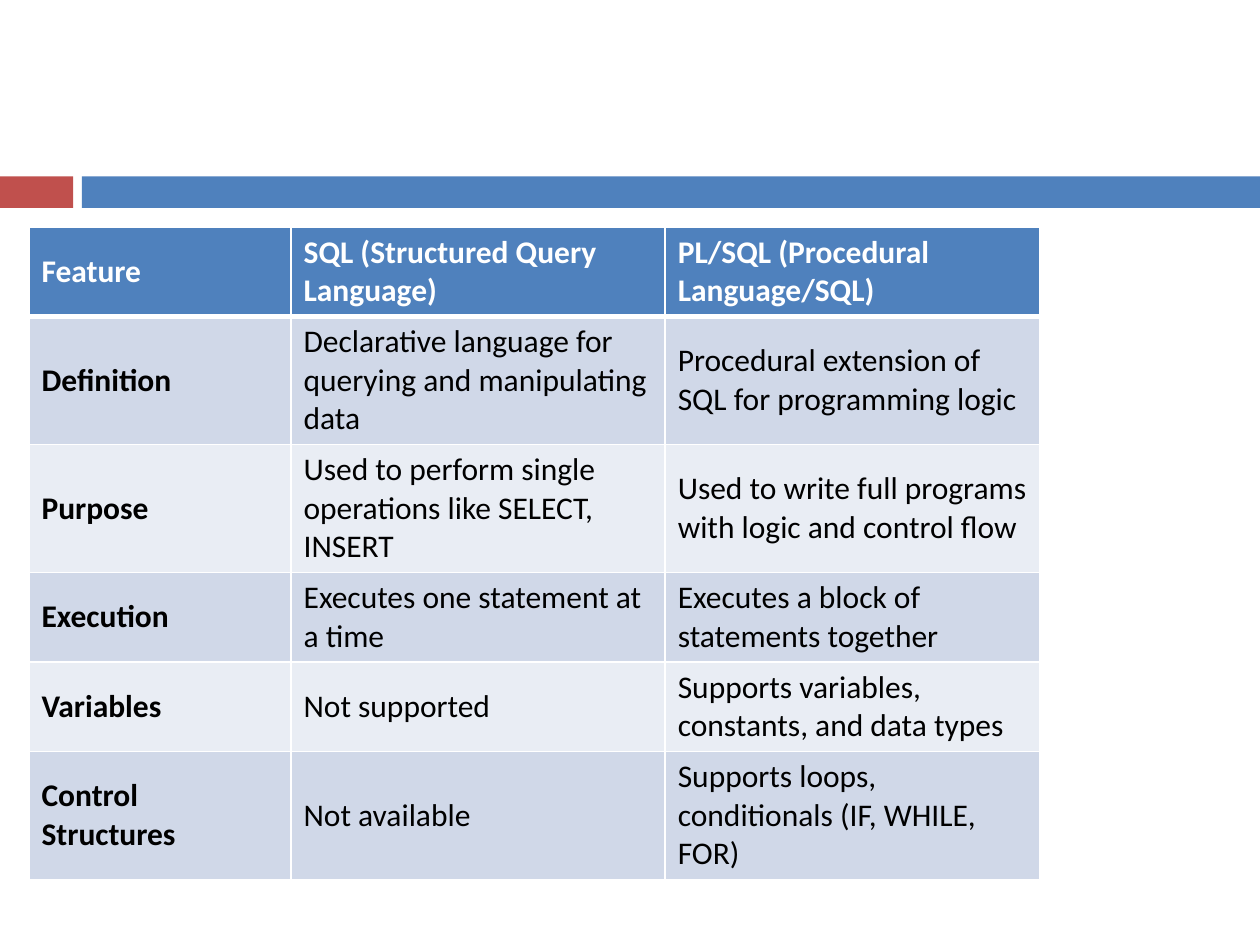
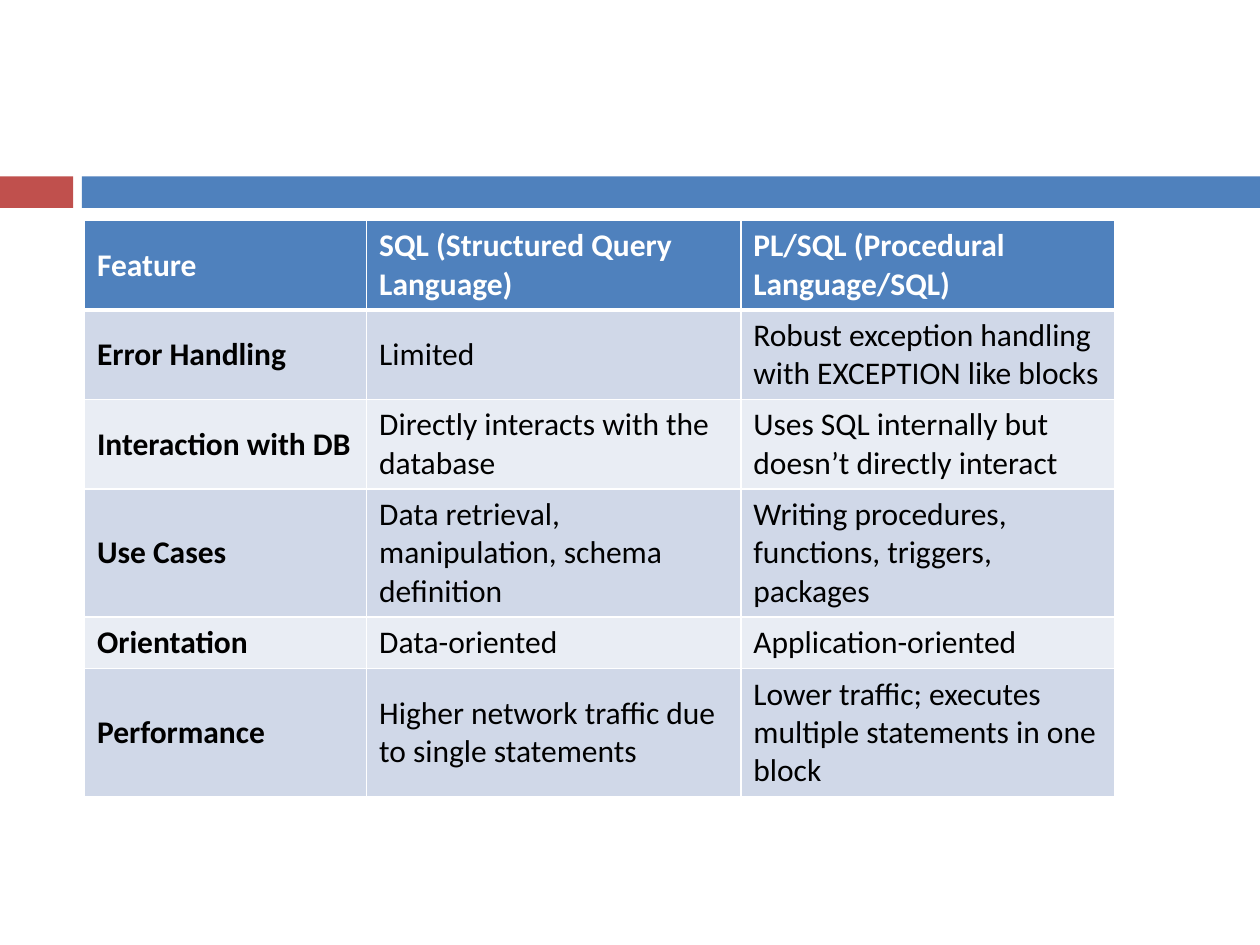
from dataclasses import dataclass

from lxml import etree
from pptx import Presentation
from pptx.dml.color import RGBColor
from pptx.enum import shapes, text
from pptx.oxml import ns
from pptx.util import Inches, Pt


@dataclass(frozen=True)
class Theme:
    font: str = "Calibri"
    text_size: int = 18
    accent: str = "C0504D"
    primary: str = "4F81BD"
    odd_row: str = "D0D8E8"
    even_row: str = "E9EDF4"
    white: str = "FFFFFF"
    black: str = "000000"
    rule: int = 1
    header_rule: int = 3


class Deck:
    BAND_TOP, BAND_HEIGHT = 1.4, 0.25
    ROW_HEIGHT = 0.41

    def __init__(self, theme):
        self.theme = theme
        self.file = Presentation()
        self.file.slide_width = Inches(10)
        self.file.slide_height = Inches(7.5)
        self.page = None

    def add_page(self):
        self.page = self.file.slides.add_slide(self.file.slide_layouts[6])
        self.add_band(0, 0.58, self.theme.accent)
        self.add_band(0.65, 9.35, self.theme.primary)

    def add_band(self, left, width, color):
        band = self.page.shapes.add_shape(
            shapes.MSO_SHAPE.RECTANGLE, Inches(left), Inches(self.BAND_TOP),
            Inches(width), Inches(self.BAND_HEIGHT))
        band.shadow.inherit = False
        band.fill.solid()
        band.fill.fore_color.rgb = RGBColor.from_string(color)
        band.line.fill.background()

    def add_table(self, left, top, widths, rows):
        frame = self.page.shapes.add_table(
            len(rows), len(widths), Inches(left), Inches(top),
            Inches(sum(widths)), Inches(self.ROW_HEIGHT * len(rows)))
        table = frame.table
        for column, width in zip(table.columns, widths):
            column.width = Inches(width)
        for r, row in enumerate(rows):
            table.rows[r].height = Inches(self.ROW_HEIGHT)
            for c, wording in enumerate(row):
                self.style_cell(table.cell(r, c), wording, r, c)

    def style_cell(self, cell, wording, row, column):
        theme = self.theme
        is_header = row == 0
        top = theme.header_rule if row == 1 else theme.rule
        bottom = theme.header_rule if is_header else theme.rule
        self.add_borders(cell, L=theme.rule, R=theme.rule, T=top, B=bottom)
        if is_header:
            fill = theme.primary
        else:
            fill = theme.odd_row if row % 2 else theme.even_row
        cell.fill.solid()
        cell.fill.fore_color.rgb = RGBColor.from_string(fill)
        cell.vertical_anchor = text.MSO_ANCHOR.MIDDLE
        cell.text = wording
        font = cell.text_frame.paragraphs[0].font
        font.name = theme.font
        font.size = Pt(theme.text_size)
        font.bold = is_header or column == 0
        font.color.rgb = RGBColor.from_string(
            theme.white if is_header else theme.black)

    def add_borders(self, cell, **weights):
        """Draw cell sides; call before filling, as the schema wants lines first."""
        properties = cell._tc.get_or_add_tcPr()
        for side, weight in weights.items():
            line = etree.SubElement(properties, ns.qn(f"a:ln{side}"), w=str(Pt(weight)))
            fill = etree.SubElement(line, ns.qn("a:solidFill"))
            etree.SubElement(fill, ns.qn("a:srgbClr"), val=self.theme.white)


HEADER = ("Feature", "SQL (Structured Query Language)",
          "PL/SQL (Procedural Language/SQL)")
LANGUAGE_WIDTH = 2.97

LANGUAGE_BASICS = [
    ("Definition", "Declarative language for querying and manipulating data",
     "Procedural extension of SQL for programming logic"),
    ("Purpose", "Used to perform single operations like SELECT, INSERT",
     "Used to write full programs with logic and control flow"),
    ("Execution", "Executes one statement at a time",
     "Executes a block of statements together"),
    ("Variables", "Not supported",
     "Supports variables, constants, and data types"),
    ("Control Structures", "Not available",
     "Supports loops, conditionals (IF, WHILE, FOR)"),
]

PRACTICAL_USE = [
    ("Error Handling", "Limited",
     "Robust exception handling with EXCEPTION like blocks"),
    ("Interaction with DB", "Directly interacts with the database",
     "Uses SQL internally but doesn’t directly interact"),
    ("Use Cases", "Data retrieval, manipulation, schema definition",
     "Writing procedures, functions, triggers, packages"),
    ("Orientation", "Data-oriented", "Application-oriented"),
    ("Performance", "Higher network traffic due to single statements",
     "Lower traffic; executes multiple statements in one block"),
]


def main():
    deck = Deck(Theme())
    for left, top, feature_width, rows in (
            (0.23, 1.8, 2.08, LANGUAGE_BASICS),
            (0.67, 1.75, 2.24, PRACTICAL_USE)):
        deck.add_page()
        widths = (feature_width, LANGUAGE_WIDTH, LANGUAGE_WIDTH)
        deck.add_table(left, top, widths, [HEADER, *rows])
    deck.file.save("out.pptx")


if __name__ == "__main__":
    main()
